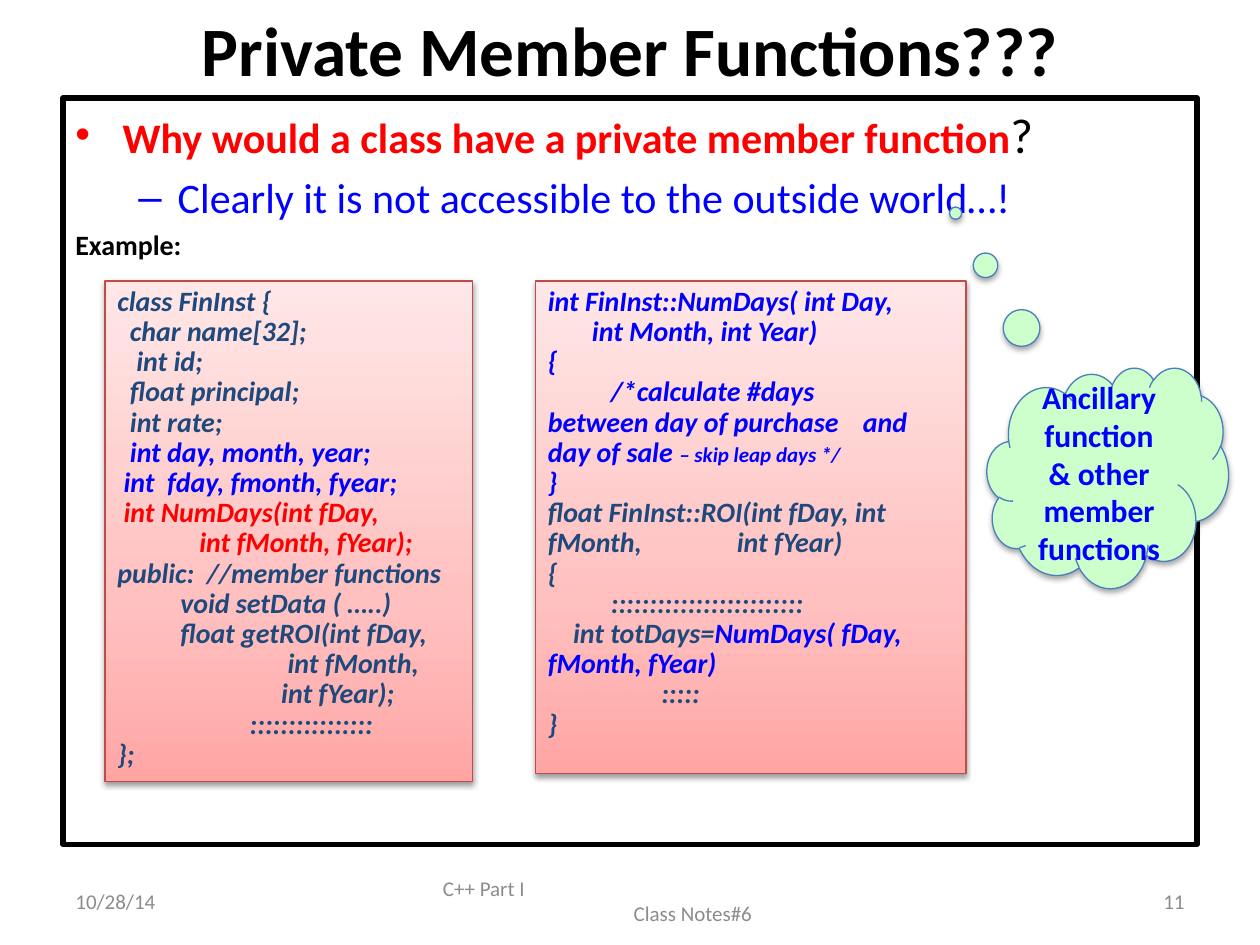
from copy import deepcopy

from lxml.etree import SubElement
from pptx import Presentation
from pptx.dml.color import RGBColor
from pptx.enum.shapes import MSO_SHAPE
from pptx.enum.text import MSO_ANCHOR, PP_ALIGN
from pptx.oxml.ns import qn
from pptx.util import Pt

BLACK = RGBColor(0, 0, 0)
RED = RGBColor(0xFF, 0, 0)
BLUE = RGBColor(0, 0, 0xFF)
NAVY = RGBColor(0x1F, 0x49, 0x7D)
GRAY = RGBColor(0x8C, 0x8C, 0x8C)
GREEN = RGBColor(0xCC, 0xFF, 0xCC)
CLOUD_LINE = RGBColor(0x4B, 0x7E, 0xBC)
CODE_LINE = RGBColor(0xBF, 0x4C, 0x48)
CODE_STOPS = [(0, RGBColor(0xFF, 0xA6, 0xA5)), (0.35, RGBColor(0xFF, 0xC0, 0xBF)),
              (1, RGBColor(0xFF, 0xE7, 0xE7))]
TAB = 36

# A paragraph is a list of runs: (text, colour, size if not the usual one)
TITLE = [[("Private Member Functions???", BLACK)]]
QUESTION = [[("Why would a class have a private member function", RED),
             ("?", BLACK, 28)]]
ANSWER = [[("Clearly it is not accessible to the outside world…!", BLUE)]]
EXAMPLE = [[("Example:", BLACK)]]
CLOUD = [[("Ancillary function", BLUE)], [("& other member functions", BLUE)]]

CLASS_CODE = [
    [("class FinInst {", NAVY)],
    [("  char name[32];", NAVY)],
    [("   int id;", NAVY)],
    [("  float principal;", NAVY)],
    [("  int rate;", NAVY)],
    [("  int day, month, year;", BLUE)],
    [(" int  fday, fmonth, fyear;", BLUE)],
    [(" int NumDays(int fDay,", RED)],
    [("             int fMonth, fYear);", RED)],
    [("public:  //member functions", NAVY)],
    [("\tvoid setData ( …..)", NAVY)],
    [("\tfloat getROI(int fDay,", NAVY)],
    [("                           int fMonth,", NAVY)],
    [("                          int fYear);", NAVY)],
    [("\t\t ::::::::::::::::", NAVY)],
    [("};", NAVY)],
]
MEMBER_CODE = [
    [("int FinInst::NumDays( int Day,", BLUE)],
    [("       int Month, int Year)", BLUE)],
    [("{", BLUE)],
    [("\t/*calculate #days \t  \t\tbetween day of purchase \tand day of sale ", BLUE),
     ("– skip leap days */", BLUE, 12)],
    [("}", BLUE)],
    [("float FinInst::ROI(int fDay, int fMonth, \t\tint fYear)", NAVY)],
    [("{", NAVY)],
    [("\t:::::::::::::::::::::::::", NAVY)],
    [("    int totDays=", NAVY), ("NumDays( fDay, \tfMonth, fYear)", BLUE)],
    [("                  :::::", NAVY)],
    [("}", NAVY)],
]
CODE_BOXES = [(CLASS_CODE, (60, 160.5, 210, 286)), (MEMBER_CODE, (306, 160.5, 246, 281.5))]

FOOTER_TOP, FOOTER_HEIGHT = 500.5, 28.5
FOOTERS = [("10/28/14", 36, 168, PP_ALIGN.LEFT), ("11", 516, 168, PP_ALIGN.RIGHT)]


def add_text(tf, paras, size, bold=False, italic=False, align=PP_ALIGN.LEFT,
             spacing=None, before=0, margin=0, indent=0, bullet=None, tabs=0):
    """Append paragraphs, filling the empty first one before adding more."""
    tf.word_wrap = True
    for runs in paras:
        first = tf.paragraphs[0]
        p = tf.add_paragraph() if first.runs else first
        p.alignment = align
        p.space_before = Pt(before)
        if spacing:
            p.line_spacing = spacing
        pPr = p._p.get_or_add_pPr()
        pPr.set("marL", str(Pt(margin)))
        pPr.set("indent", str(Pt(indent)))
        if bullet:
            SubElement(pPr, qn("a:buFont"), typeface="Arial")
            SubElement(pPr, qn("a:buChar"), char=bullet)
        if tabs:
            tab_list = SubElement(pPr, qn("a:tabLst"))
            for i in range(1, tabs + 1):
                SubElement(tab_list, qn("a:tab"), pos=str(Pt(i * TAB)), algn="l")
        for text, color, *own_size in runs:
            r = p.add_run()
            r.text = text
            r.font.name = "Calibri"
            r.font.size = Pt(own_size[0] if own_size else size)
            r.font.bold, r.font.italic = bold, italic
            r.font.color.rgb = color


def add_box(shapes, left, top, width, height, anchor=MSO_ANCHOR.MIDDLE):
    tf = shapes.add_textbox(Pt(left), Pt(top), Pt(width), Pt(height)).text_frame
    tf.vertical_anchor = anchor
    return tf


def add_panel(shapes, kind, box, line, width, anchor=MSO_ANCHOR.TOP):
    s = shapes.add_shape(kind, *map(Pt, box))
    s.shadow.inherit = False
    s.line.color.rgb = line
    s.line.width = Pt(width)
    s.text_frame.vertical_anchor = anchor
    return s


def add_shadow(s, alpha, distance):
    effects = s._element.spPr.find(qn("a:effectLst"))
    shadow = SubElement(effects, qn("a:outerShdw"), blurRad=str(Pt(3.1)),
                        dist=str(Pt(distance)), dir="5400000", rotWithShape="0")
    color = SubElement(shadow, qn("a:srgbClr"), val="000000")
    SubElement(color, qn("a:alpha"), val=str(alpha * 1000))


def fill_gradient(s, stops):
    s.fill.gradient()
    s.fill.gradient_angle = 90
    stop_list = s._element.spPr.find(qn("a:gradFill")).find(qn("a:gsLst"))
    while len(stop_list) < len(stops):
        stop_list.append(deepcopy(stop_list[0]))
    for stop, (position, color) in zip(s.fill.gradient_stops, stops):
        stop.position = position
        stop.color.rgb = color


def main():
    prs = Presentation()
    prs.slide_width, prs.slide_height = Pt(720), Pt(540)
    shapes = prs.slides.add_slide(prs.slide_layouts[6]).shapes

    add_text(add_box(shapes, 36, 0, 648, 56), TITLE, 39.6, bold=True,
             align=PP_ALIGN.CENTER)

    body = add_panel(shapes, MSO_SHAPE.RECTANGLE, (36, 56, 648, 426.5), BLACK, 3)
    body.fill.background()
    tf = body.text_frame
    add_text(tf, QUESTION, 24, bold=True, margin=27, indent=-27, bullet="•")
    tf.paragraphs[0].runs[1].font.bold = False
    add_text(tf, ANSWER, 24, before=4.8, margin=58.5, indent=-22.5, bullet="–")
    add_text(tf, EXAMPLE, 16, bold=True, before=3.2)

    for text, left, width, align in FOOTERS:
        add_text(add_box(shapes, left, FOOTER_TOP, width, FOOTER_HEIGHT),
                 [[(text, GRAY)]], 12, align=align)
    tf = add_box(shapes, 246, FOOTER_TOP, 228, FOOTER_HEIGHT)
    add_text(tf, [[("C++ Part I", GRAY)]], 12)
    add_text(tf, [[("Class Notes#6", GRAY)]], 12, margin=109)

    for code, box in CODE_BOXES:
        s = add_panel(shapes, MSO_SHAPE.RECTANGLE, box, CODE_LINE, 0.75)
        fill_gradient(s, CODE_STOPS)
        add_shadow(s, 38, 1.6)
        add_text(s.text_frame, code, 16, bold=True, italic=True, spacing=0.9, tabs=10)

    cloud = add_panel(shapes, MSO_SHAPE.CLOUD_CALLOUT, (564, 210, 138, 126),
                      CLOUD_LINE, 0.75, MSO_ANCHOR.MIDDLE)
    cloud.adjustments[0], cloud.adjustments[1] = -0.63, -1.2
    cloud.fill.solid()
    cloud.fill.fore_color.rgb = GREEN
    add_shadow(cloud, 35, 1.8)
    add_text(cloud.text_frame, CLOUD, 18, bold=True, align=PP_ALIGN.CENTER)

    prs.save("out.pptx")


if __name__ == "__main__":
    main()
